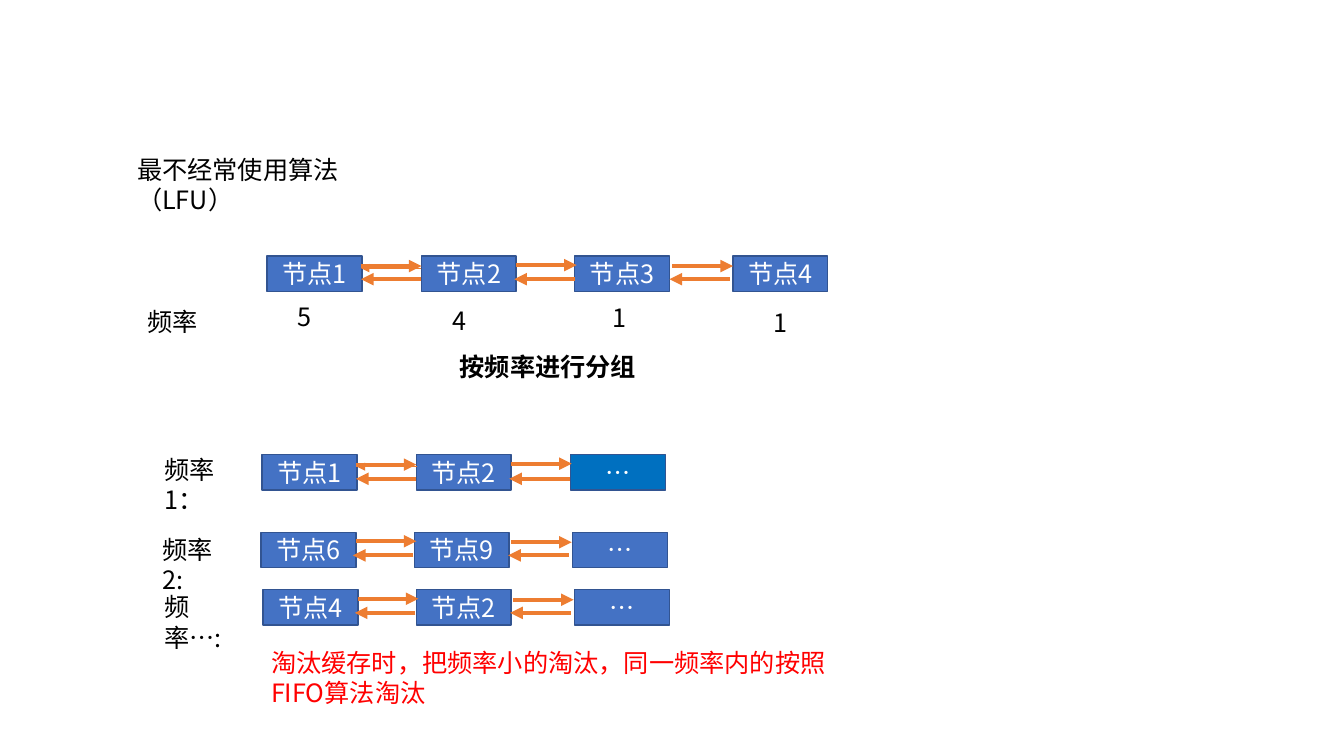
from lxml import etree
from pptx import Presentation
from pptx.dml.color import RGBColor
from pptx.enum.shapes import MSO_CONNECTOR, MSO_SHAPE
from pptx.enum.text import MSO_ANCHOR, MSO_AUTO_SIZE, PP_ALIGN
from pptx.oxml.ns import qn
from pptx.util import Inches, Pt

RECTANGLE = MSO_SHAPE.RECTANGLE
STRAIGHT = MSO_CONNECTOR.STRAIGHT
TOP, MIDDLE = MSO_ANCHOR.TOP, MSO_ANCHOR.MIDDLE
LEFT, CENTER = PP_ALIGN.LEFT, PP_ALIGN.CENTER
FIXED = MSO_AUTO_SIZE.NONE

BLACK = RGBColor(0x00, 0x00, 0x00)
WHITE = RGBColor(0xFF, 0xFF, 0xFF)
RED = RGBColor(0xFF, 0x00, 0x00)
BLUE = RGBColor(0x44, 0x72, 0xC4)
BRIGHT_BLUE = RGBColor(0x00, 0x70, 0xC0)
DARK_BLUE = RGBColor(0x32, 0x54, 0x91)
ORANGE = RGBColor(0xED, 0x7D, 0x31)

FONT = "Noto Sans CJK SC"
NODE_WIDTH, NODE_HEIGHT = 0.94, 0.35
ARROW_LENGTH = 0.6
TITLE_ONLY_LAYOUT = 5

CHAINS = [
    {
        "top": 2.54,
        "nodes": [("节点1", 2.65), ("节点2", 4.18), ("节点3", 5.7), ("节点4", 7.27)],
        "forward": [(3.58, 2.64), (5.12, 2.63), (6.67, 2.64)],
        "back": [(3.58, 2.77), (5.1, 2.77), (6.64, 2.77)],
        "thin_back": [(3.58, 2.66)],
    },
    {
        "top": 4.51,
        "nodes": [("节点1", 2.6), ("节点2", 4.13), ("…", 5.66)],
        "forward": [(3.53, 4.61), (5.07, 4.6)],
        "back": [(3.53, 4.75), (5.05, 4.75)],
        "thin_back": [(3.54, 4.63)],
        "last_fill": BRIGHT_BLUE,
    },
    {
        "top": 5.28,
        "nodes": [("节点6", 2.59), ("节点9", 4.11), ("…", 5.68)],
        "forward": [(3.53, 5.37), (5.07, 5.38)],
        "back": [(3.5, 5.51), (5.04, 5.51)],
    },
    {
        "top": 5.85,
        "nodes": [("节点4", 2.61), ("节点2", 4.13), ("…", 5.7)],
        "forward": [(3.55, 5.94), (5.09, 5.95)],
        "back": [(3.52, 6.08), (5.06, 6.08)],
    },
]

LABELS = [
    ("频率", 1.36, 2.99, 0.71),
    ("5", 2.85, 2.94, 0.34),
    ("4", 4.39, 2.98, 0.34),
    ("1", 5.98, 2.95, 0.34),
    ("1", 7.57, 3, 0.34),
    ("频率1：", 1.53, 4.46, 0.99),
    ("频率2:", 1.51, 5.25, 0.9),
    ("频率…:", 1.53, 5.82, 0.93),
]


class SlideBuilder:
    def __init__(self, slide):
        self.slide = slide

    def set_text(self, shape, text, color, align=LEFT, anchor=TOP, bold=False):
        frame = shape.text_frame
        frame.word_wrap = True
        frame.auto_size = FIXED
        frame.vertical_anchor = anchor
        frame.text = text
        paragraph = frame.paragraphs[0]
        paragraph.alignment = align
        paragraph.line_spacing = 1.0
        paragraph.space_before = Pt(0)
        font = paragraph.font
        font.name = FONT
        font.size = Pt(18)
        font.bold = bold
        font.color.rgb = color
        defaults = paragraph._p.pPr.find(qn("a:defRPr"))
        etree.SubElement(defaults, qn("a:ea")).set("typeface", FONT)

    def title(self, text, left, top, width, height):
        shape = self.slide.shapes.title
        shape.left, shape.top = Inches(left), Inches(top)
        shape.width, shape.height = Inches(width), Inches(height)
        self.set_text(shape, text, BLACK)

    def text(self, text, left, top, width, height=0.4, color=BLACK, **style):
        shape = self.slide.shapes.add_textbox(
            Inches(left), Inches(top), Inches(width), Inches(height)
        )
        self.set_text(shape, text, color, **style)

    def node(self, text, left, top, fill):
        shape = self.slide.shapes.add_shape(
            RECTANGLE, Inches(left), Inches(top), Inches(NODE_WIDTH), Inches(NODE_HEIGHT)
        )
        shape.shadow.inherit = False
        shape.fill.solid()
        shape.fill.fore_color.rgb = fill
        shape.line.color.rgb = DARK_BLUE
        shape.line.width = Pt(1)
        self.set_text(shape, text, WHITE, CENTER, MIDDLE)

    def arrow(self, start, end, y, width=3):
        connector = self.slide.shapes.add_connector(
            STRAIGHT, Inches(start), Inches(y), Inches(end), Inches(y)
        )
        connector.line.color.rgb = ORANGE
        connector.line.width = Pt(width)
        properties = connector._element.spPr
        line = properties.find(qn("a:ln"))
        etree.SubElement(line, qn("a:tailEnd")).set("type", "triangle")
        etree.SubElement(properties, qn("a:effectLst"))

    def chain(self, top, nodes, forward, back, thin_back=(), last_fill=BLUE):
        for index, (text, left) in enumerate(nodes, 1):
            self.node(text, left, top, last_fill if index == len(nodes) else BLUE)
        for x, y in forward:
            self.arrow(x, x + ARROW_LENGTH, y)
        for x, y in back:
            self.arrow(x + ARROW_LENGTH, x, y)
        for x, y in thin_back:
            self.arrow(x + ARROW_LENGTH, x, y, 0.5)


def main():
    presentation = Presentation()
    presentation.slide_width = Inches(13.33)
    presentation.slide_height = Inches(7.5)
    layout = presentation.slide_layouts[TITLE_ONLY_LAYOUT]
    builder = SlideBuilder(presentation.slides.add_slide(layout))

    builder.title("最不经常使用算法（LFU）", 1.26, 1.48, 3.03, 0.4)
    for chain in CHAINS:
        builder.chain(**chain)
    for label in LABELS:
        builder.text(*label)
    builder.text("按频率进行分组", 2.65, 3.44, 5.57, align=CENTER, bold=True)
    builder.text(
        "淘汰缓存时，把频率小的淘汰，同一频率内的按照FIFO算法淘汰",
        2.59, 6.37, 5.9, 0.71, color=RED,
    )
    presentation.save("out.pptx")


if __name__ == "__main__":
    main()
